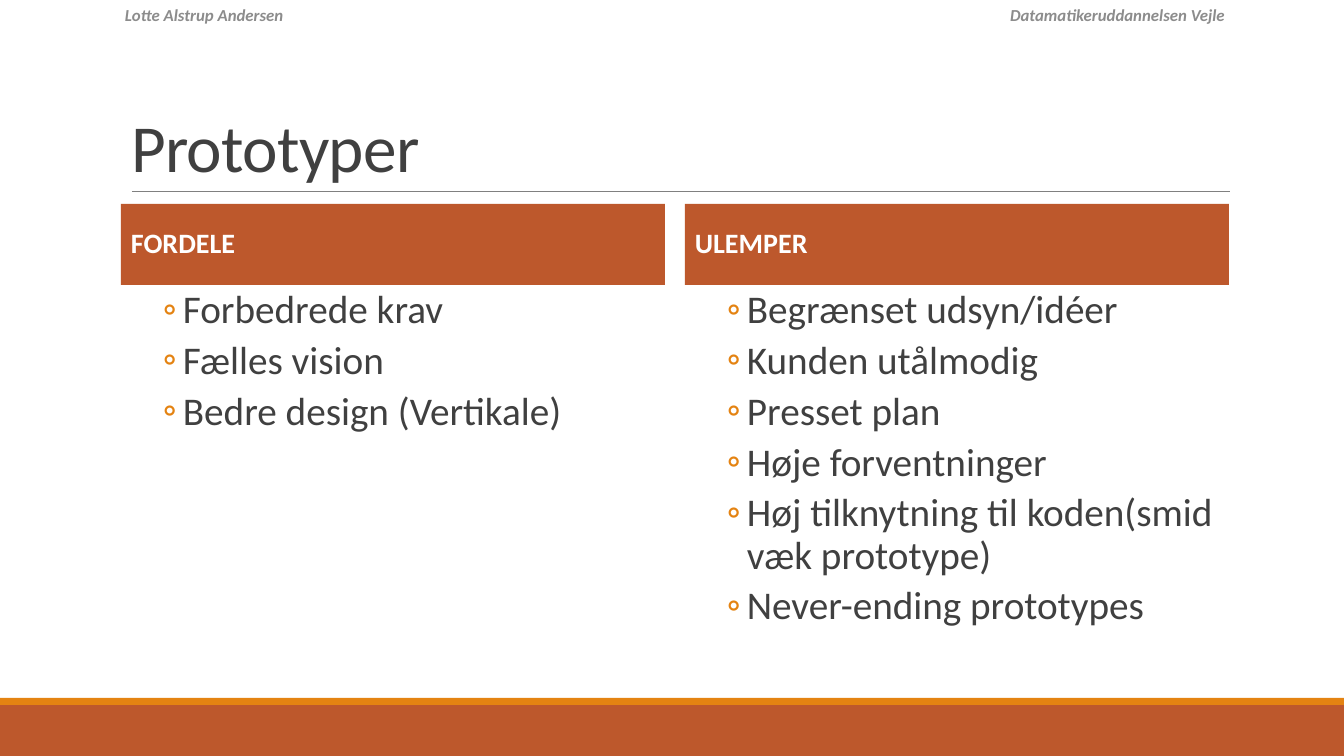
from collections import namedtuple
from dataclasses import dataclass

import pptx
import pptx.dml.color
import pptx.enum.shapes
import pptx.enum.text
import pptx.oxml.ns
import pptx.util
from lxml import etree

PAGE_WIDTH, PAGE_HEIGHT = 1344, 756
EMU_PER_PX = 12192000 / PAGE_WIDTH

Box = namedtuple("Box", "left top width height")
Align = pptx.enum.text.PP_ALIGN
Anchor = pptx.enum.text.MSO_ANCHOR


@dataclass(frozen=True)
class Theme:
    font: str = "Calibri"
    rust: str = "BD582C"
    orange: str = "E48312"
    ink: str = "404040"
    rule: str = "808080"
    muted: str = "8C8C8C"
    white: str = "FFFFFF"
    title_size: int = 48
    list_size: int = 28
    heading_size: int = 20
    header_size: int = 12


THEME = Theme()

COLUMNS = [
    ("FORDELE", ["Forbedrede krav", "Fælles vision", "Bedre design (Vertikale)"]),
    ("ULEMPER", [
        "Begrænset udsyn/idéer",
        "Kunden utålmodig",
        "Presset plan",
        "Høje forventninger",
        "Høj tilknytning til koden(smid væk prototype)",
        "Never-ending prototypes",
    ]),
]


def px(length):
    return pptx.util.Emu(round(length * EMU_PER_PX))


def emu_box(box):
    return [px(length) for length in box]


def rgb(colour):
    return pptx.dml.color.RGBColor.from_string(colour)


def add_span(para, text, size, colour, bold=False, italic=False):
    span = para.add_run()
    span.text = text
    span.font.name = THEME.font
    span.font.size = pptx.util.Pt(size)
    span.font.color.rgb = rgb(colour)
    span.font.bold = bold
    span.font.italic = italic
    return span


def space_para(para, line, before=0, after=0):
    para.line_spacing = line
    para.space_before = pptx.util.Pt(before)
    para.space_after = pptx.util.Pt(after)


def add_bullet(para, indent, hang):
    """Needs the paragraph spacing to be set first, as the XML order is fixed."""
    properties = para._p.get_or_add_pPr()
    properties.set("marL", str(px(indent)))
    properties.set("indent", str(-px(hang)))
    qn = pptx.oxml.ns.qn
    colour = etree.SubElement(properties, qn("a:buClr"))
    etree.SubElement(colour, qn("a:srgbClr"), val=THEME.orange)
    etree.SubElement(properties, qn("a:buFont"), typeface=THEME.font)
    etree.SubElement(properties, qn("a:buChar"), char="◦")


def add_text_box(page, box):
    frame = page.shapes.add_textbox(*emu_box(box)).text_frame
    frame.word_wrap = True
    return frame


def add_band(page, box, colour):
    band = page.shapes.add_shape(
        pptx.enum.shapes.MSO_SHAPE.RECTANGLE, *emu_box(box))
    band.shadow.inherit = False
    band.fill.solid()
    band.fill.fore_color.rgb = rgb(colour)
    band.line.fill.background()
    return band


def add_header(page, box):
    width = 309
    right = box.left + box.width - width
    for left, text, align in [
        (box.left, "Lotte Alstrup Andersen", Align.LEFT),
        (right, "Datamatikeruddannelsen Vejle", Align.RIGHT),
    ]:
        frame = add_text_box(page, Box(left, box.top, width, box.height))
        para = frame.paragraphs[0]
        para.alignment = align
        add_span(para, text, THEME.header_size, THEME.muted, bold=True, italic=True)


def add_footer(page, box):
    stripe = 7
    add_band(page, Box(box.left, box.top + stripe, box.width, box.height - stripe),
             THEME.rust)
    add_band(page, box._replace(height=stripe), THEME.orange)


def add_title(page, box, text):
    title = page.shapes.title
    title.left, title.top, title.width, title.height = emu_box(box)
    frame = title.text_frame
    frame.word_wrap = True
    frame.auto_size = pptx.enum.text.MSO_AUTO_SIZE.NONE
    frame.vertical_anchor = Anchor.BOTTOM
    para = frame.paragraphs[0]
    para.alignment = Align.LEFT
    space_para(para, 0.85)
    span = add_span(para, text, THEME.title_size, THEME.ink)
    span.font._element.set("spc", "-50")

    bottom = px(box.top + box.height)
    rule = page.shapes.add_connector(
        pptx.enum.shapes.MSO_CONNECTOR.STRAIGHT,
        px(box.left + 11), bottom, px(box.left + box.width), bottom)
    rule.line.color.rgb = rgb(THEME.rule)
    rule.line.width = pptx.util.Pt(0.5)
    etree.SubElement(rule._element.spPr, pptx.oxml.ns.qn("a:effectLst"))


def add_column(page, box, heading, items):
    heading_height = 81
    band = add_band(page, box._replace(height=heading_height), THEME.rust)
    band.text_frame.word_wrap = True
    band.text_frame.vertical_anchor = Anchor.MIDDLE
    para = band.text_frame.paragraphs[0]
    para.alignment = Align.LEFT
    space_para(para, 0.9, 12, 2)
    add_span(para, heading, THEME.heading_size, THEME.white, bold=True)

    frame = add_text_box(page, Box(box.left, box.top + heading_height,
                                   box.width, box.height - heading_height))
    frame.margin_left = frame.margin_right = 0
    for index, item in enumerate(items):
        para = frame.add_paragraph() if index else frame.paragraphs[0]
        space_para(para, 0.9, 2, 4)
        add_bullet(para, indent=62, hang=20)
        add_span(para, item, THEME.list_size, THEME.ink)


def add_comparison(page, box, columns):
    gap = 20
    width = (box.width - gap * (len(columns) - 1)) // len(columns)
    for index, (heading, items) in enumerate(columns):
        left = box.left + index * (width + gap)
        add_column(page, Box(left, box.top, width, box.height), heading, items)


def main():
    deck = pptx.Presentation()
    deck.slide_width, deck.slide_height = px(PAGE_WIDTH), px(PAGE_HEIGHT)
    page = deck.slides.add_slide(deck.slide_layouts.get_by_name("Title Only"))
    add_footer(page, Box(0, 698, PAGE_WIDTH, PAGE_HEIGHT - 698))
    add_header(page, Box(115, 0, 1120, 29))
    add_title(page, Box(121, 31, 1109, 160), "Prototyper")
    add_comparison(page, Box(121, 204, 1109, 452), COLUMNS)
    deck.save("out.pptx")


if __name__ == "__main__":
    main()
